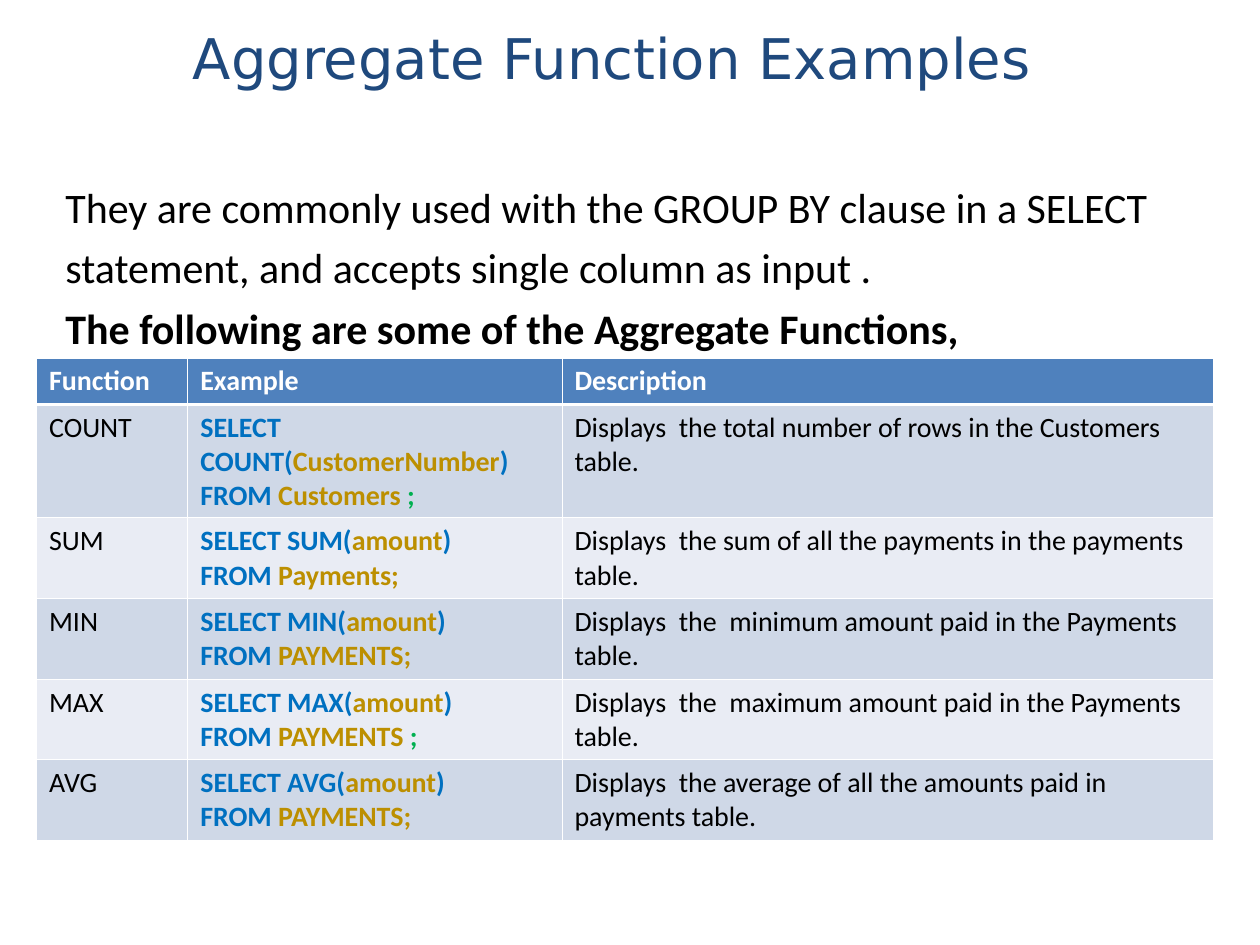
from dataclasses import dataclass

from lxml.etree import SubElement
from pptx import Presentation
from pptx.dml.color import RGBColor as Rgb
from pptx.enum.text import MSO_ANCHOR as Anchor, MSO_AUTO_SIZE as AutoSize, PP_ALIGN as Align
from pptx.oxml.ns import qn
from pptx.util import Inches, Pt


@dataclass(frozen=True)
class Theme:
    title_font: str = "DejaVu Sans"
    body_font: str = "Calibri"
    title_size: int = 32
    intro_size: int = 24
    table_size: int = 16
    title: str = "1F497D"
    text: str = "000000"
    white: str = "FFFFFF"
    header: str = "4F81BD"
    bands: tuple = ("CFD8E7", "E9ECF4")
    keyword: str = "0070C0"
    name: str = "BC8F00"
    end: str = "00B050"
    thin: float = 0.45
    thick: float = 1.47


THEME = Theme()
TITLE = "Aggregate Function Examples"
INTRO = "They are commonly used with the GROUP BY clause in a SELECT statement, and accepts single column as input ."
LEAD_IN = "The following are some of the Aggregate Functions,"

HEADINGS = ("Function", "Example", "Description")
COLUMN_WIDTHS = (1.2, 2.97, 5.17)
ROW_HEIGHTS = (0.37, 0.9, 0.64, 0.64, 0.64, 0.64)


def style_font(font, size, color, bold=False, face=THEME.body_font):
    font.name = face
    font.size = Pt(size)
    font.bold = bold
    font.color.rgb = Rgb.from_string(color)


def two_line_query(function, table, end=""):
    """Colour-coded runs of a query, one list per paragraph."""
    query = [
        [(f"SELECT {function}(", THEME.keyword), ("amount", THEME.name), (")", THEME.keyword)],
        [("FROM ", THEME.keyword), (table, THEME.name)],
    ]
    if end:
        query[1].append((end, THEME.end))
    return query


COUNT_QUERY = [[
    ("SELECT COUNT(", THEME.keyword), ("CustomerNumber", THEME.name),
    (") FROM ", THEME.keyword), ("Customers", THEME.name), (" ;", THEME.end),
]]

FUNCTIONS = (
    ("COUNT", COUNT_QUERY, "Displays  the total number of rows in the Customers table."),
    ("SUM", two_line_query("SUM", "Payments;"),
     "Displays  the sum of all the payments in the payments table."),
    ("MIN", two_line_query("MIN", "PAYMENTS;"),
     "Displays  the  minimum amount paid in the Payments table."),
    ("MAX", two_line_query("MAX", "PAYMENTS", " ;"),
     "Displays  the  maximum amount paid in the Payments table."),
    ("AVG", two_line_query("AVG", "PAYMENTS;"),
     "Displays  the average of all the amounts paid in payments table."),
)


def add_title(slide):
    title = slide.shapes.title
    title.left, title.top = Inches(1.43), Inches(-0.17)
    title.width, title.height = Inches(9.07), Inches(1.25)
    frame = title.text_frame
    frame.text = TITLE
    frame.auto_size = AutoSize.NONE
    frame.vertical_anchor = Anchor.MIDDLE
    heading = frame.paragraphs[0]
    heading.alignment = Align.LEFT
    style_font(heading.runs[0].font, THEME.title_size, THEME.title, face=THEME.title_font)


def add_intro(slide):
    intro = slide.shapes.add_textbox(Inches(0.42), Inches(1.31), Inches(9.75), Inches(1.54))
    frame = intro.text_frame
    frame.word_wrap = True
    frame.auto_size = AutoSize.SHAPE_TO_FIT_TEXT
    frame.text = f"{INTRO}\n{LEAD_IN}"
    for paragraph, bold in zip(frame.paragraphs, (False, True)):
        paragraph.line_spacing = 1.2
        style_font(paragraph.runs[0].font, THEME.intro_size, THEME.text, bold)


def set_borders(cell, top, bottom):
    properties = cell._tc.get_or_add_tcPr()
    widths = {"a:lnL": THEME.thin, "a:lnR": THEME.thin, "a:lnT": top, "a:lnB": bottom}
    for side, width in widths.items():
        line = SubElement(properties, qn(side), w=str(Pt(width)))
        fill = SubElement(line, qn("a:solidFill"))
        SubElement(fill, qn("a:srgbClr"), val=THEME.white)


def style_cell(cell, fill, row):
    # Borders come before the fill in the cell's XML
    set_borders(cell,
                top=THEME.thick if row == 1 else THEME.thin,
                bottom=THEME.thick if row == 0 else THEME.thin)
    cell.fill.solid()
    cell.fill.fore_color.rgb = Rgb.from_string(fill)


def write_text(cell, text, color, bold=False):
    cell.text_frame.text = text
    style_font(cell.text_frame.paragraphs[0].runs[0].font, THEME.table_size, color, bold)


def write_query(cell, query):
    frame = cell.text_frame
    for index, line in enumerate(query):
        paragraph = frame.add_paragraph() if index else frame.paragraphs[0]
        for text, color in line:
            run = paragraph.add_run()
            run.text = text
            style_font(run.font, THEME.table_size, color, bold=True)


def add_function_table(slide):
    table = slide.shapes.add_table(
        len(ROW_HEIGHTS), len(COLUMN_WIDTHS), Inches(0.29), Inches(2.84),
        Inches(sum(COLUMN_WIDTHS)), Inches(sum(ROW_HEIGHTS))).table
    for column, width in zip(table.columns, COLUMN_WIDTHS):
        column.width = Inches(width)
    for row, height in zip(table.rows, ROW_HEIGHTS):
        row.height = Inches(height)

    # Header row
    for column, heading in enumerate(HEADINGS):
        cell = table.cell(0, column)
        style_cell(cell, THEME.header, 0)
        write_text(cell, heading, THEME.white, bold=True)

    # One banded row per function
    for row, (function, query, description) in enumerate(FUNCTIONS, start=1):
        cells = table.rows[row].cells
        for cell in cells:
            style_cell(cell, THEME.bands[(row - 1) % 2], row)
        write_text(cells[0], function, THEME.text)
        write_query(cells[1], query)
        write_text(cells[2], description, THEME.text)


def main():
    deck = Presentation()
    deck.slide_width, deck.slide_height = Inches(10), Inches(7.5)
    title_only = deck.slide_layouts[5]
    slide = deck.slides.add_slide(title_only)
    add_title(slide)
    add_intro(slide)
    add_function_table(slide)
    deck.save("out.pptx")


if __name__ == "__main__":
    main()
